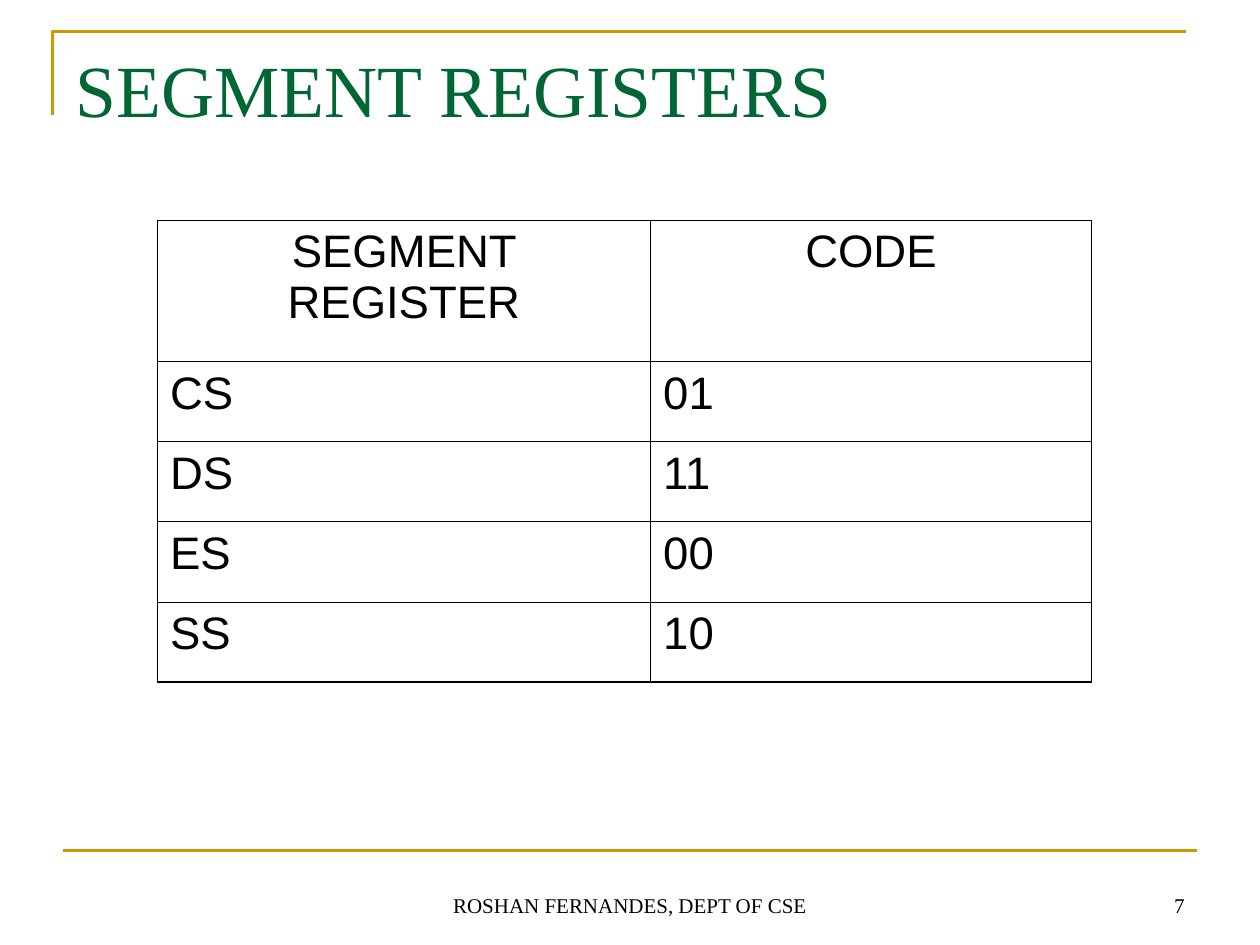
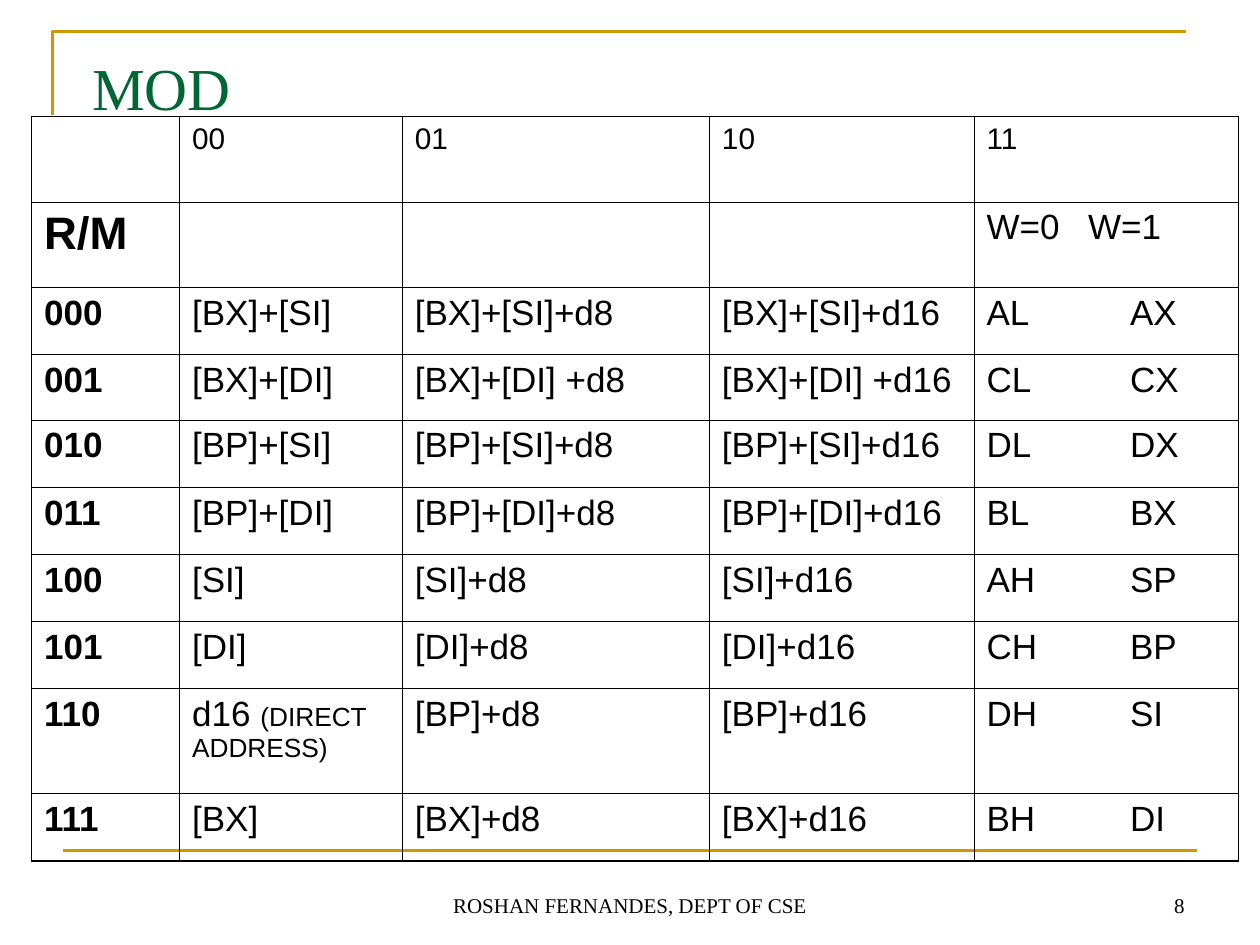
from dataclasses import dataclass, field

from lxml import etree
from pptx import Presentation
from pptx.dml.color import RGBColor
from pptx.enum import shapes, text
from pptx.oxml import ns
from pptx.util import Pt


@dataclass(frozen=True)
class Theme:
    gold: RGBColor = RGBColor(0xCC, 0x99, 0x00)
    green: RGBColor = RGBColor(0x00, 0x66, 0x33)
    black: RGBColor = RGBColor(0, 0, 0)
    serif: str = "Times New Roman"
    sans: str = "Arial"
    title_size: float = 42
    short_title_size: float = 34
    footer_size: float = 12
    large: float = 26
    body: float = 20
    heading: float = 17
    note: float = 15
    rule: float = 1.5
    outer_border: float = 1.08
    inner_border: float = 0.45


THEME = Theme()


@dataclass(frozen=True)
class Box:
    left: float
    top: float
    width: float
    height: float

    def lengths(self) -> tuple:
        return Pt(self.left), Pt(self.top), Pt(self.width), Pt(self.height)


@dataclass(frozen=True)
class Title:
    text: str
    size: float
    height: float
    left_inset: float
    top_inset: float


@dataclass(frozen=True)
class Cell:
    text: str = ""
    size: float = THEME.body
    bold: bool = False
    centred: bool = False
    note: str = ""
    tab: float = 0


@dataclass(frozen=True)
class Grid:
    left: float
    top: float
    columns: list[float]
    rows: list[float]
    cells: list[list[Cell]] = field(default_factory=list)


FOOTER = "ROSHAN FERNANDES, DEPT OF CSE"
FOOTER_BOX = Box(246, 492, 228, 36)
NUMBER_BOX = Box(516, 492, 168, 36)
REGISTER_TAB = 82
W_TAB = 58

SEGMENT_CODES = [("CS", "01"), ("DS", "11"), ("ES", "00"), ("SS", "10")]
# Address base, byte register and word register for each R/M value
R_M_ROWS = [
    ("[BX]+[SI]", "AL", "AX"),
    ("[BX]+[DI] ", "CL", "CX"),
    ("[BP]+[SI]", "DL", "DX"),
    ("[BP]+[DI]", "BL", "BX"),
    ("[SI]", "AH", "SP"),
    ("[DI]", "CH", "BP"),
    ("[BP]", "DH", "SI"),
    ("[BX]", "BH", "DI"),
]
DIRECT_ADDRESS = 0b110


def segment_cells() -> list[list[Cell]]:
    headings = [Cell(name, THEME.large, centred=True) for name in ("SEGMENT REGISTER", "CODE")]
    return [headings] + [[Cell(value, THEME.large) for value in row] for row in SEGMENT_CODES]


def mod_cells() -> list[list[Cell]]:
    cells = [
        [Cell()] + [Cell(f"{mod:02b}", THEME.heading) for mod in range(4)],
        [Cell("R/M", THEME.large, bold=True), Cell(), Cell(), Cell(),
         Cell("W=0\tW=1", tab=W_TAB)],
    ]
    for code, (base, byte_register, word_register) in enumerate(R_M_ROWS):
        direct = code == DIRECT_ADDRESS
        cells.append([
            Cell(f"{code:03b}", bold=True),
            Cell("d16 ", note="(DIRECT ADDRESS)") if direct else Cell(base.strip()),
            Cell(f"{base}+d8"),
            Cell(f"{base}+d16"),
            Cell(f"{byte_register}\t{word_register}", tab=REGISTER_TAB),
        ])
    return cells


def set_font(font, name: str, color: RGBColor, size: float | None = None) -> None:
    font.name = name
    font.color.rgb = color
    if size:
        font.size = Pt(size)


def add_text(slide, box: Box, words: str, size: float, color: RGBColor = THEME.black,
             align=text.PP_ALIGN.LEFT, anchor=text.MSO_ANCHOR.BOTTOM):
    frame = slide.shapes.add_textbox(*box.lengths()).text_frame
    frame.word_wrap = True
    frame.vertical_anchor = anchor
    paragraph = frame.paragraphs[0]
    paragraph.text = words
    paragraph.alignment = align
    set_font(paragraph.font, THEME.serif, color, size)
    return frame


def add_rules(slide) -> None:
    """Draw the corner bracket at the top and the line above the footer."""
    builder = slide.shapes.build_freeform(Pt(30), Pt(66))
    builder.add_line_segments([(Pt(30), Pt(18)), (Pt(678), Pt(18))], close=False)
    bracket = builder.convert_to_shape()
    bracket.shadow.inherit = False
    bracket.fill.background()
    line = slide.shapes.add_connector(shapes.MSO_CONNECTOR.STRAIGHT,
                                      Pt(36), Pt(486), Pt(684), Pt(486))
    etree.SubElement(line._element.spPr, ns.qn("a:effectLst"))
    for shape in (bracket, line):
        shape.line.color.rgb = THEME.gold
        shape.line.width = Pt(THEME.rule)


def add_title(slide, title: Title) -> None:
    frame = add_text(slide, Box(36, 21.6, 648, title.height), title.text, title.size,
                     THEME.green, anchor=text.MSO_ANCHOR.TOP)
    frame.margin_left = Pt(title.left_inset)
    frame.margin_top = Pt(title.top_inset)
    frame.margin_bottom = 0


def set_borders(cell, outer: dict[str, bool]) -> None:
    """Line each side, heavier where it lies on the outside of the table."""
    properties = cell._tc.get_or_add_tcPr()
    for index, (side, is_outer) in enumerate(outer.items()):
        width = THEME.outer_border if is_outer else THEME.inner_border
        line = etree.Element(ns.qn(f"a:ln{side}"), w=str(int(Pt(width))))
        fill = etree.SubElement(line, ns.qn("a:solidFill"))
        etree.SubElement(fill, ns.qn("a:srgbClr"), val=str(THEME.black))
        properties.insert(index, line)


def fill_cell(cell, content: Cell) -> None:
    cell.fill.background()
    paragraph = cell.text_frame.paragraphs[0]
    if content.tab:
        tabs = etree.SubElement(paragraph._p.get_or_add_pPr(), ns.qn("a:tabLst"))
        etree.SubElement(tabs, ns.qn("a:tab"), pos=str(int(Pt(content.tab))), algn="l")
    if content.centred:
        paragraph.alignment = text.PP_ALIGN.CENTER
    set_font(paragraph.font, THEME.sans, THEME.black)
    paragraph.font.bold = content.bold
    for words, size in ((content.text, content.size), (content.note, THEME.note)):
        if words:
            run = paragraph.add_run()
            run.text = words
            run.font.size = Pt(size)


def add_grid(slide, grid: Grid) -> None:
    box = Box(grid.left, grid.top, sum(grid.columns), sum(grid.rows))
    last_row, last_column = len(grid.rows) - 1, len(grid.columns) - 1
    table = slide.shapes.add_table(last_row + 1, last_column + 1, *box.lengths()).table
    table.first_row = table.horz_banding = False
    for column, width in zip(table.columns, grid.columns):
        column.width = Pt(width)
    for row, height in zip(table.rows, grid.rows):
        row.height = Pt(height)
    for r, contents in enumerate(grid.cells):
        for c, content in enumerate(contents):
            cell = table.cell(r, c)
            fill_cell(cell, content)
            set_borders(cell, {"L": c == 0, "R": c == last_column,
                               "T": r == 0, "B": r == last_row})


def add_slide(presentation, number: int, title: Title, grid: Grid) -> None:
    slide = presentation.slides.add_slide(presentation.slide_layouts[6])
    add_rules(slide)
    add_title(slide, title)
    add_grid(slide, grid)
    add_text(slide, FOOTER_BOX, FOOTER, THEME.footer_size, align=text.PP_ALIGN.CENTER)
    add_text(slide, NUMBER_BOX, str(number), THEME.footer_size, align=text.PP_ALIGN.RIGHT)


def main() -> None:
    presentation = Presentation()
    presentation.slide_width, presentation.slide_height = Pt(720), Pt(540)
    add_slide(
        presentation, 7,
        Title("SEGMENT REGISTERS", THEME.title_size, height=90, left_inset=7.2, top_inset=3.6),
        Grid(90, 126, [281.8, 252], [80.6] + [45.8] * 4, segment_cells()),
    )
    add_slide(
        presentation, 8,
        Title("MOD", THEME.short_title_size, height=14.4, left_inset=16.7, top_inset=7.8),
        Grid(18, 66.6, [84.6, 127.3, 175.5, 151.2, 151.2],
             [48.8, 48.8, 38.4, 37.4] + [38.4] * 4 + [60.2, 38.4], mod_cells()),
    )
    presentation.save("out.pptx")


if __name__ == "__main__":
    main()
